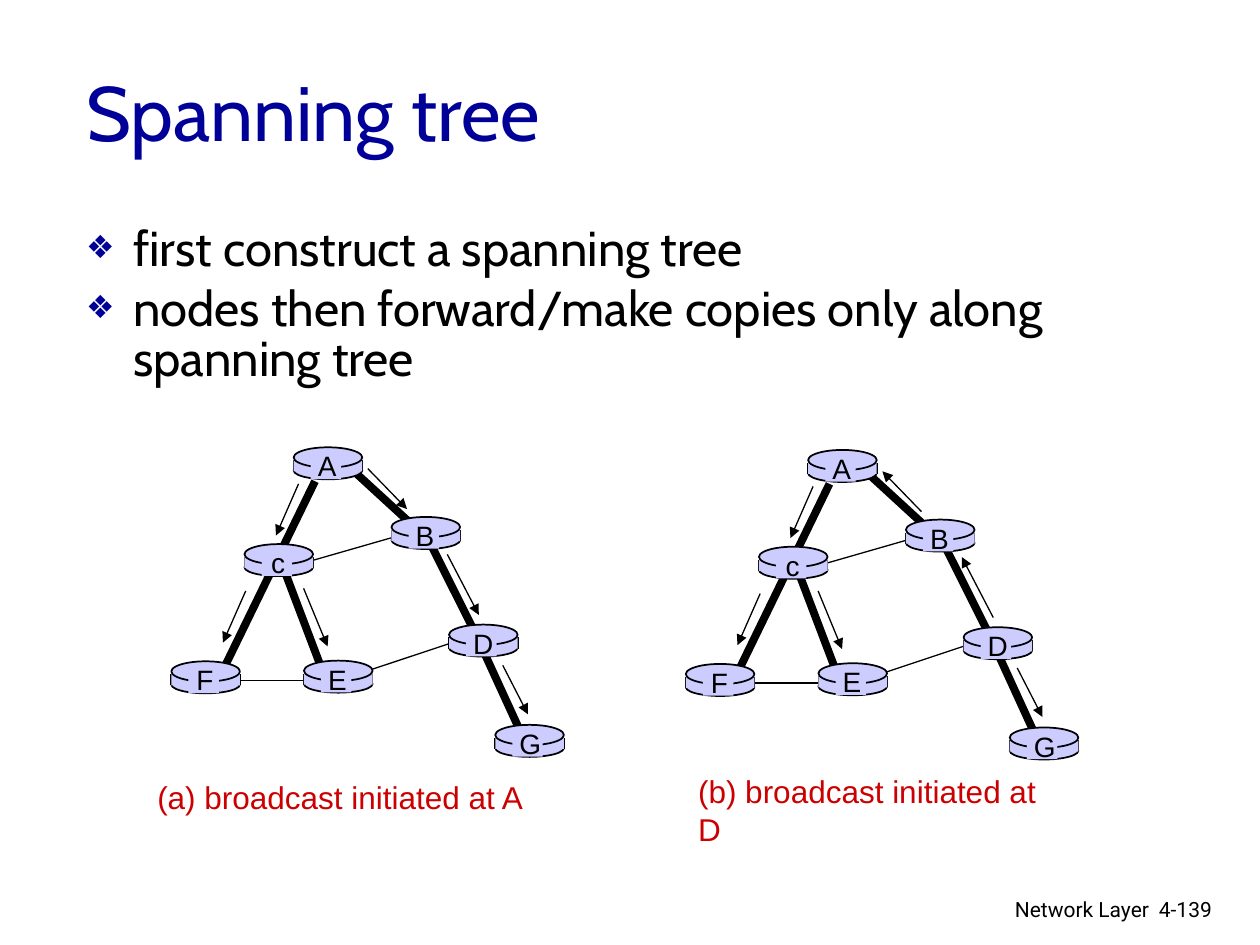
from pptx import Presentation
from pptx import util as u
from pptx.dml.color import RGBColor
from pptx.enum import shapes, text
from pptx.oxml import ns
from lxml import etree

COLORS = {"ink": "000000", "blue": "000099", "red": "CC0000", "router": "CCCCFF"}
ROUTERS = {"A": (167.8, 255.6), "B": (223.7, 295.4), "G": (283, 414.2),
           "D": (256.6, 356.9), "E": (173.7, 377.5), "c": (139.7, 310.9),
           "F": (97.9, 377.9)}
TREE_EDGES = [(244, 306.7, 270.7, 360), (271.4, 361.4, 298.8, 421.2),
              (183.6, 381.6, 162, 324.7), (203, 270, 238.3, 302.4),
              (180, 275, 126.7, 384.5)]
OTHER_EDGES = [(258.5, 367.2, 211, 383), (185.8, 388.8, 127.4, 388.8),
               (175.7, 321.1, 228.2, 306)]
ARROWS = {"Ac": (170.6, 276.5, 157.7, 306), "cF": (140.4, 337.7, 127.4, 367.2),
          "AB": (210.2, 267.8, 232.6, 290.9), "BD": (255.6, 316.8, 273.6, 351.4),
          "DG": (287.3, 380.2, 301.7, 408.2), "cE": (173.5, 336.2, 187.2, 369.4)}
BULLETS = ["first construct a spanning tree",
           "nodes then forward/make copies only along spanning tree"]


def rgb(name):
    """Return the named colour."""
    return RGBColor.from_string(COLORS[name])


def write(p, content, size=12, font="Arial", color="ink", align=text.PP_ALIGN.LEFT):
    """Write one formatted run into a paragraph."""
    p.alignment = align
    r = p.add_run()
    r.text = content
    r.font.size, r.font.name = u.Pt(size), font
    r.font.color.rgb = rgb(color)


def add_label(s, content, x, y, w, h, grow=False, **fmt):
    """Add a text box; a growing one does not wrap."""
    tf = s.shapes.add_textbox(*map(u.Pt, (x, y, w, h))).text_frame
    tf.word_wrap = not grow
    if grow:
        tf.auto_size = text.MSO_AUTO_SIZE.SHAPE_TO_FIT_TEXT
    write(tf.paragraphs[0], content, **fmt)


def add_line(s, x1, y1, x2, y2, width=0.75, arrow=False):
    """Add a straight line, with an optional arrowhead at its end."""
    c = s.shapes.add_connector(shapes.MSO_CONNECTOR.STRAIGHT,
                               *map(u.Pt, (x1, y1, x2, y2)))
    c.line.color.rgb = rgb("ink")
    c.line.width = u.Pt(width)
    pr = c._element.spPr
    if arrow:
        etree.SubElement(pr.find(ns.qn("a:ln")), ns.qn("a:tailEnd"), type="triangle")
    etree.SubElement(pr, ns.qn("a:effectLst"))


def add_part(s, kind, x, y, w, h):
    """Add one filled router part; only ellipses are outlined."""
    sp = s.shapes.add_shape(kind, *map(u.Pt, (x, y, w, h)))
    sp.shadow.inherit = False
    sp.fill.solid()
    sp.fill.fore_color.rgb = rgb("router")
    if kind == shapes.MSO_SHAPE.OVAL:
        sp.line.color.rgb = rgb("ink")
        sp.line.width = u.Pt(1)
    else:
        sp.line.fill.background()


def add_router(s, name, x, y):
    """Draw a router as a labelled flat cylinder."""
    oval, rect = shapes.MSO_SHAPE.OVAL, shapes.MSO_SHAPE.RECTANGLE
    w = 39.2
    add_part(s, oval, x, y + 8.3, w, 10)
    for side in (x, x + w):
        add_line(s, side, y + 7.4, side, y + 13.7, width=1)
    add_part(s, rect, x, y + 7.4, w, 6.4)
    add_part(s, oval, x, y, w, 11.6)
    add_part(s, rect, x + 9.8, y + 1.7, 17.4, 16.5)
    add_label(s, name, x + 6.7, y - 2.6, 25, 26.6, grow=True, size=16,
              align=text.PP_ALIGN.CENTER)


def add_network(s, dx, dy, reverse=()):
    """Draw the network at an offset, turning round the listed arrows."""
    def move(line):
        x1, y1, x2, y2 = line
        return x1 + dx, y1 + dy, x2 + dx, y2 + dy

    for edge in TREE_EDGES:
        add_line(s, *move(edge), width=4.5)
    for edge in OTHER_EDGES:
        add_line(s, *move(edge))
    for name, (x, y) in ROUTERS.items():
        add_router(s, name, x + dx, y + dy)
    for name, arrow in ARROWS.items():
        x1, y1, x2, y2 = move(arrow)
        ends = (x2, y2, x1, y1) if name in reverse else (x1, y1, x2, y2)
        add_line(s, *ends, arrow=True)


def place(sp, x, y, w, h):
    """Move and size a placeholder."""
    sp.left, sp.top, sp.width, sp.height = map(u.Pt, (x, y, w, h))


def add_bullet(p):
    """Give a paragraph a hanging blue diamond bullet."""
    pr = p._p.get_or_add_pPr()
    pr.set("marL", str(u.Pt(27)))
    pr.set("indent", str(-u.Pt(27)))
    clr = etree.SubElement(pr, ns.qn("a:buClr"))
    etree.SubElement(clr, ns.qn("a:srgbClr"), val=COLORS["blue"])
    etree.SubElement(pr, ns.qn("a:buSzPct"), val="65000")
    etree.SubElement(pr, ns.qn("a:buChar"), char="❖")


def fill_list(sp, items):
    """Write the bulleted list into the body placeholder."""
    tf = sp.text_frame
    tf.auto_size = text.MSO_AUTO_SIZE.NONE
    for i, item in enumerate(items):
        p = tf.add_paragraph() if i else tf.paragraphs[0]
        add_bullet(p)
        p.line_spacing = 0.85
        p.space_before = u.Pt(5.6 if i else 0)
        write(p, item, size=28, font="Cabin")


def main():
    """Build and save the spanning tree slide."""
    prs = Presentation()
    prs.slide_width, prs.slide_height = u.Pt(720), u.Pt(540)
    s = prs.slides.add_slide(prs.slide_layouts[1])
    title, body = s.placeholders
    place(title, 42, 18, 612, 90)
    title.text_frame.auto_size = text.MSO_AUTO_SIZE.NONE
    write(title.text_frame.paragraphs[0], "Spanning tree", size=44, font="Cabin",
          color="blue")
    place(body, 42, 126, 612, 146)
    fill_list(body, BULLETS)
    add_network(s, 0, 0)
    add_network(s, 294, 1.5, reverse=("AB", "BD"))
    caption = {"grow": True, "size": 18, "color": "red"}
    add_label(s, "(a) broadcast initiated at A", 82.8, 440.8, 224.8, 29, **caption)
    add_label(s, "(b) broadcast initiated at D", 391.8, 437.5, 225.2, 29, **caption)
    add_label(s, "Network Layer", 435.6, 509, 228.2, 22, font="Roboto",
              align=text.PP_ALIGN.RIGHT)
    add_label(s, "4-139", 655.2, 509, 53.3, 22, font="Roboto")
    prs.save("out.pptx")


if __name__ == "__main__":
    main()
